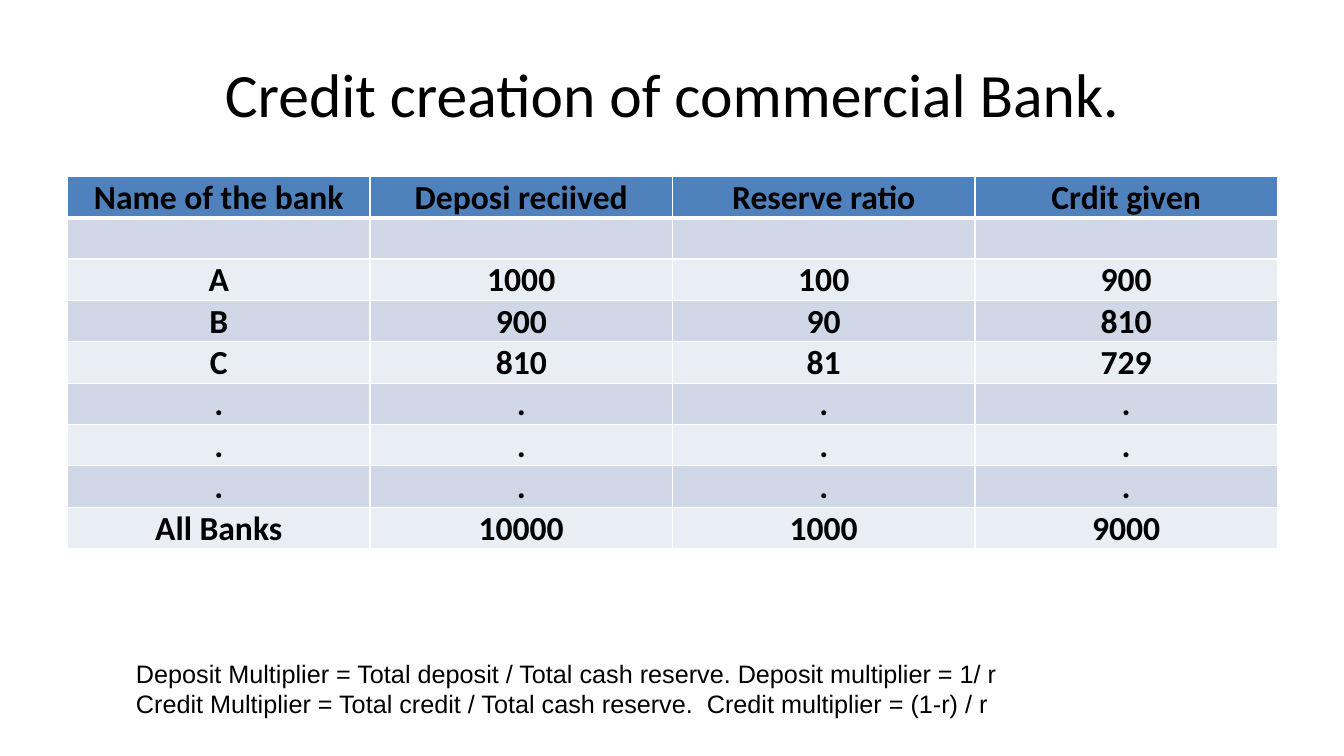
from lxml import etree
from pptx import Presentation
from pptx.dml.color import RGBColor
from pptx.enum.text import MSO_ANCHOR, PP_ALIGN
from pptx.oxml.ns import qn
from pptx.util import Inches, Pt

CENTER, LEFT = PP_ALIGN.CENTER, PP_ALIGN.LEFT
TOP, MIDDLE, BOTTOM = MSO_ANCHOR.TOP, MSO_ANCHOR.MIDDLE, MSO_ANCHOR.BOTTOM

# Content
TITLE = "Credit creation of commercial Bank."
CREDIT_ROWS = [
    ("Name of the bank", "Deposi reciived", "Reserve ratio", "Crdit given"),
    ("", "", "", ""),
    ("A", "1000", "100", "900"),
    ("B", "900", "90", "810"),
    ("C", "810", "81", "729"),
    (".", ".", ".", "."),
    (".", ".", ".", "."),
    (".", ".", ".", "."),
    ("All Banks", "10000", "1000", "9000"),
]
FORMULAS = [
    "Deposit Multiplier = Total deposit / Total cash reserve. Deposit multiplier = 1/ r",
    "Credit Multiplier = Total credit / Total cash reserve.  Credit multiplier = (1-r) / r",
]

# Theme
BLACK = RGBColor.from_string("000000")
THEME = {
    "title": {"size": Pt(44), "name": "Calibri"},
    "cell": {"size": Pt(24), "name": "Calibri", "bold": True},
    "formula": {"size": Pt(18), "name": "Arial"},
    "header": "4F81BD",
    "bands": ("D0D8E8", "E9EDF4"),
    "border": "FFFFFF",
}

# Grid, in inches
SLIDE_WIDTH, SLIDE_HEIGHT = 13.33, 7.5
MARGIN, COLUMN_WIDTH, ROW_HEIGHT = 0.67, 3, 0.41
TABLE_WIDTH = COLUMN_WIDTH * len(CREDIT_ROWS[0])
TABLE_HEIGHT = ROW_HEIGHT * len(CREDIT_ROWS)
CELL_MARGINS = {"margin_left": 0.01, "margin_right": 0.01,
                "margin_top": 0.01, "margin_bottom": 0}


def write(text_frame, lines, style, alignment):
    for index, line in enumerate(lines):
        paragraph = text_frame.paragraphs[0] if index == 0 else text_frame.add_paragraph()
        paragraph.alignment = alignment
        if line:
            run = paragraph.add_run()
            run.text = line
            for name, value in THEME[style].items():
                setattr(run.font, name, value)
            run.font.color.rgb = BLACK


def add_text(slide, box, lines, style, alignment, anchor, wrap):
    text_frame = slide.shapes.add_textbox(*map(Inches, box)).text_frame
    text_frame.word_wrap = wrap
    text_frame.vertical_anchor = anchor
    write(text_frame, lines, style, alignment)


def add_borders(cell, widths):
    properties = cell._tc.get_or_add_tcPr()
    for side, width in widths.items():
        line = etree.SubElement(properties, qn(f"a:ln{side}"), w=str(Pt(width)))
        fill = etree.SubElement(line, qn("a:solidFill"))
        etree.SubElement(fill, qn("a:srgbClr"), val=THEME["border"])


def add_credit_table(slide):
    box = (MARGIN, 1.75, TABLE_WIDTH, TABLE_HEIGHT)
    table = slide.shapes.add_table(
        len(CREDIT_ROWS), len(CREDIT_ROWS[0]), *map(Inches, box)).table
    table.horz_banding = False
    for row_index, row in enumerate(CREDIT_ROWS):
        table.rows[row_index].height = Inches(ROW_HEIGHT)
        color = THEME["bands"][(row_index - 1) % 2] if row_index else THEME["header"]
        widths = {"L": 1, "R": 1, "T": 3 if row_index == 1 else 1,
                  "B": 1 if row_index else 3}
        for column_index, value in enumerate(row):
            cell = table.cell(row_index, column_index)
            add_borders(cell, widths)
            cell.fill.solid()
            cell.fill.fore_color.rgb = RGBColor.from_string(color)
            cell.vertical_anchor = BOTTOM
            for name, margin in CELL_MARGINS.items():
                setattr(cell, name, Inches(margin))
            write(cell.text_frame, [value], "cell", CENTER)


def main():
    presentation = Presentation()
    presentation.slide_width = Inches(SLIDE_WIDTH)
    presentation.slide_height = Inches(SLIDE_HEIGHT)
    slide = presentation.slides.add_slide(presentation.slide_layouts[6])

    # Title, table and formulas from top to bottom
    add_text(slide, (MARGIN, 0.3, TABLE_WIDTH, 1.25), [TITLE], "title", CENTER, MIDDLE, True)
    add_credit_table(slide)
    add_text(slide, (1.25, 6.48, 8.82, 1.01), FORMULAS, "formula", LEFT, TOP, False)

    presentation.save("out.pptx")


if __name__ == "__main__":
    main()
